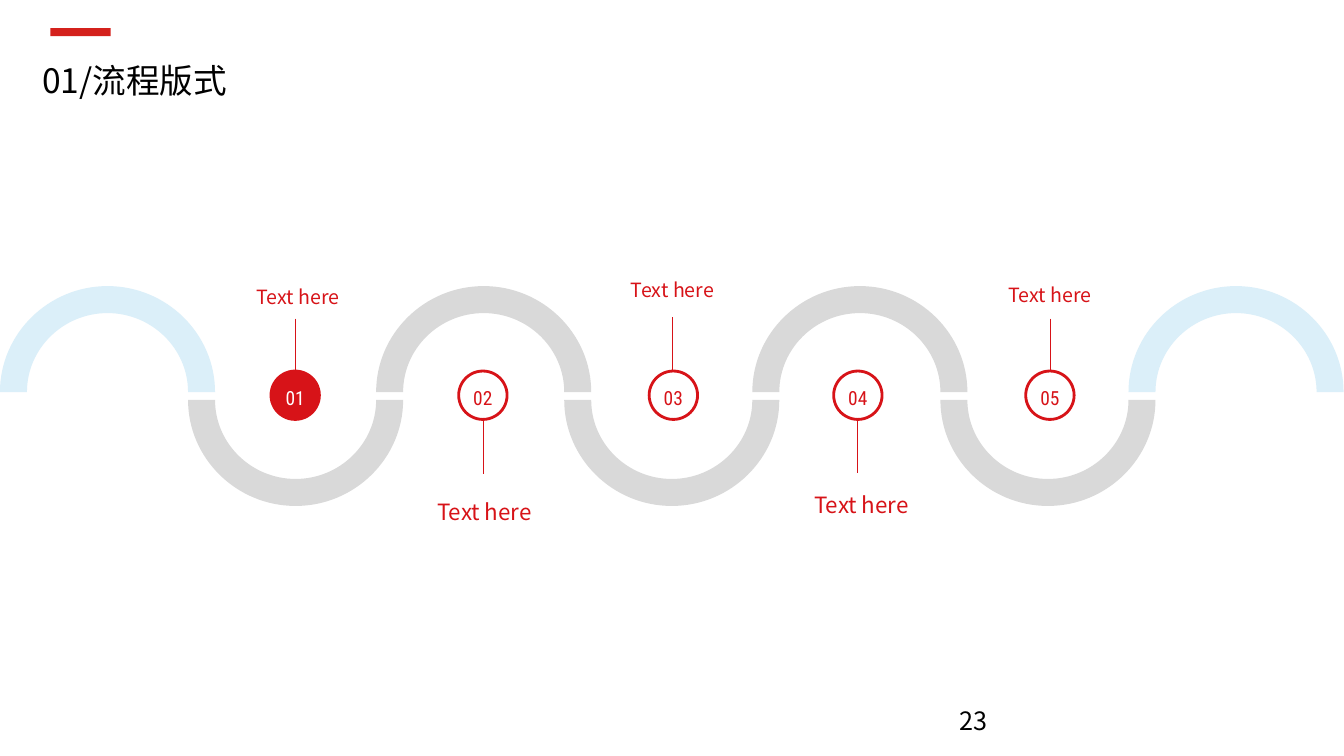
from lxml import etree
from pptx import Presentation
from pptx.dml.color import RGBColor
from pptx.enum import shapes, text
from pptx.oxml import ns
from pptx.util import Cm, Pt

COLORS = {"red": "D71318", "accent": "D4211C", "grey": "D9D9D9",
          "blue": "DBEFF9", "white": "FFFFFF", "black": "000000"}
BODY_FONT = "Noto Sans CJK SC"
NUMBER_FONT = "Roboto Condensed"

ARCH_PITCH, ARCH_WIDTH, ARCH_HEIGHT, BAND = 4.74, 5.42, 2.67, 0.68
ARCH_COLORS = ["blue"] + ["grey"] * 5 + ["blue"]
LOWER_ARCH_TOP = 2.87
QUARTER_ARC = 0.55  # handle length of a cubic curve, as a share of the radius
CIRCLE_SIZE, CIRCLE_TOP = 1.22, 2.14
STEM_LENGTH, LABEL_WIDTH = 1.32, 3.43

# number, circle centre, stem x, stem top, label centre, label top (cm)
STEPS = [
    ("01", 7.44, 7.44, 0.82, 7.51, -0.02),
    ("02", 12.17, 12.19, 3.41, 12.21, 5.36),
    ("03", 16.97, 16.94, 0.79, 16.95, -0.2),
    ("04", 21.62, 21.61, 3.38, 21.71, 5.19),
    ("05", 26.46, 26.46, 0.82, 26.46, -0.06),
]


def color(name):
    return RGBColor.from_string(COLORS[name])


def paint(shape, fill, line=None):
    shape.shadow.inherit = False
    shape.fill.solid()
    shape.fill.fore_color.rgb = color(fill)
    if line:
        shape.line.color.rgb = color(line)
        shape.line.width = Pt(2)
    else:
        shape.line.fill.background()


def add_run(paragraph, words, size, font_name, ink):
    run = paragraph.add_run()
    run.text = words
    run.font.size = Pt(size)
    run.font.color.rgb = color(ink)
    run.font.name = font_name
    east_asian = etree.SubElement(run.font._element, ns.qn("a:ea"))
    east_asian.set("typeface", font_name)


def add_text(slide, box, words, size):
    textbox = slide.shapes.add_textbox(*map(Cm, box))
    textbox.text_frame.word_wrap = True
    paragraph = textbox.text_frame.paragraphs[0]
    add_run(paragraph, words, size, BODY_FONT, "black")
    return paragraph


def set_margins(frame, top=0):
    frame.margin_left = frame.margin_right = frame.margin_bottom = 0
    frame.margin_top = Cm(top)
    frame.vertical_anchor = text.MSO_ANCHOR.MIDDLE


def add_header(slide, left, top):
    bar = slide.shapes.add_shape(shapes.MSO_SHAPE.RECTANGLE, Cm(left + 0.46),
                                 Cm(top), Cm(1.52), Cm(0.2))
    paint(bar, "accent")
    title = add_text(slide, (left, top + 0.46, 32.21, 1.7), "01/流程版式", 24)
    title.line_spacing = 1.2


def round_segment(segment, start, end, corner):
    """Turn a straight segment into a quarter ellipse that bends at corner."""
    segment.tag = ns.qn("a:cubicBezTo")
    for child in list(segment):
        segment.remove(child)
    handles = [[a + (b - a) * QUARTER_ARC for a, b in zip(anchor, corner)]
               for anchor in (start, end)]
    for x, y in handles + [end]:
        etree.SubElement(segment, ns.qn("a:pt"), x=str(round(x)), y=str(round(y)))


def add_arch(slide, left, top, fill, upward):
    """Draw a half ring, open at the bottom if upward and at the top if not."""
    right, center = left + ARCH_WIDTH, left + ARCH_WIDTH / 2
    base, apex = (top + ARCH_HEIGHT, top) if upward else (top, top + ARCH_HEIGHT)
    inner_apex = apex + (BAND if upward else -BAND)
    points = [(Cm(x), Cm(y)) for x, y in (
        (left, base), (center, apex), (right, base),
        (right - BAND, base), (center, inner_apex), (left + BAND, base))]
    builder = slide.shapes.build_freeform(*points[0])
    builder.add_line_segments(points[1:], close=True)
    arch = builder.convert_to_shape()
    local = [(x - Cm(left), y - Cm(top)) for x, y in points]
    segments = list(arch._element.iter(ns.qn("a:lnTo")))
    for side, tip in ((0, 1), (2, 1), (3, 4), (5, 4)):
        first, last = sorted((side, tip))
        corner = (local[side][0], local[tip][1])
        round_segment(segments[first], local[first], local[last], corner)
    paint(arch, fill)


def add_stem(slide, x, top):
    stem = slide.shapes.add_connector(shapes.MSO_CONNECTOR.STRAIGHT, Cm(x),
                                      Cm(top), Cm(x), Cm(top + STEM_LENGTH))
    stem.line.color.rgb = color("red")
    stem.line.width = Pt(0.5)
    etree.SubElement(stem._element.spPr, ns.qn("a:effectLst"))


def add_circle(slide, center, top, number, active):
    circle = slide.shapes.add_shape(
        shapes.MSO_SHAPE.OVAL, Cm(center - CIRCLE_SIZE / 2), Cm(top),
        Cm(CIRCLE_SIZE), Cm(CIRCLE_SIZE))
    paint(circle, "red" if active else "white", "red")
    frame = circle.text_frame
    frame.word_wrap = False
    set_margins(frame, 0.15)
    paragraph = frame.paragraphs[0]
    paragraph.alignment = text.PP_ALIGN.CENTER
    add_run(paragraph, number, 13.9, NUMBER_FONT, "white" if active else "red")


def add_label(slide, center, top, below):
    size, height = (16, 0.63) if below else (14, 0.56)
    label = slide.shapes.add_textbox(Cm(center - LABEL_WIDTH / 2), Cm(top),
                                     Cm(LABEL_WIDTH), Cm(height))
    label.text_frame.word_wrap = False
    set_margins(label.text_frame)
    paragraph = label.text_frame.paragraphs[0]
    paragraph.alignment = text.PP_ALIGN.CENTER
    add_run(paragraph, "Text here", size, BODY_FONT, "red")


def add_process(slide, left, top):
    """Place the wave of arches and its five numbered steps."""
    for index, fill in enumerate(ARCH_COLORS):
        upward = index % 2 == 0
        add_arch(slide, left + index * ARCH_PITCH,
                 top + (0 if upward else LOWER_ARCH_TOP), fill, upward)
    for index, step in enumerate(STEPS):
        number, circle_x, stem_x, stem_top, label_x, label_top = step
        add_stem(slide, left + stem_x, top + stem_top)
        add_circle(slide, left + circle_x, top + CIRCLE_TOP, number, index == 0)
        add_label(slide, left + label_x, top + label_top, index % 2 == 1)


def main():
    presentation = Presentation()
    presentation.slide_width = Cm(33.87)
    presentation.slide_height = Cm(19.05)
    slide = presentation.slides.add_slide(presentation.slide_layouts[6])
    add_header(slide, 0.81, 0.71)
    add_process(slide, 0, 7.21)
    add_text(slide, (23.93, 17.65, 7.62, 1.02), "23", 18)
    presentation.save("out.pptx")


if __name__ == "__main__":
    main()
